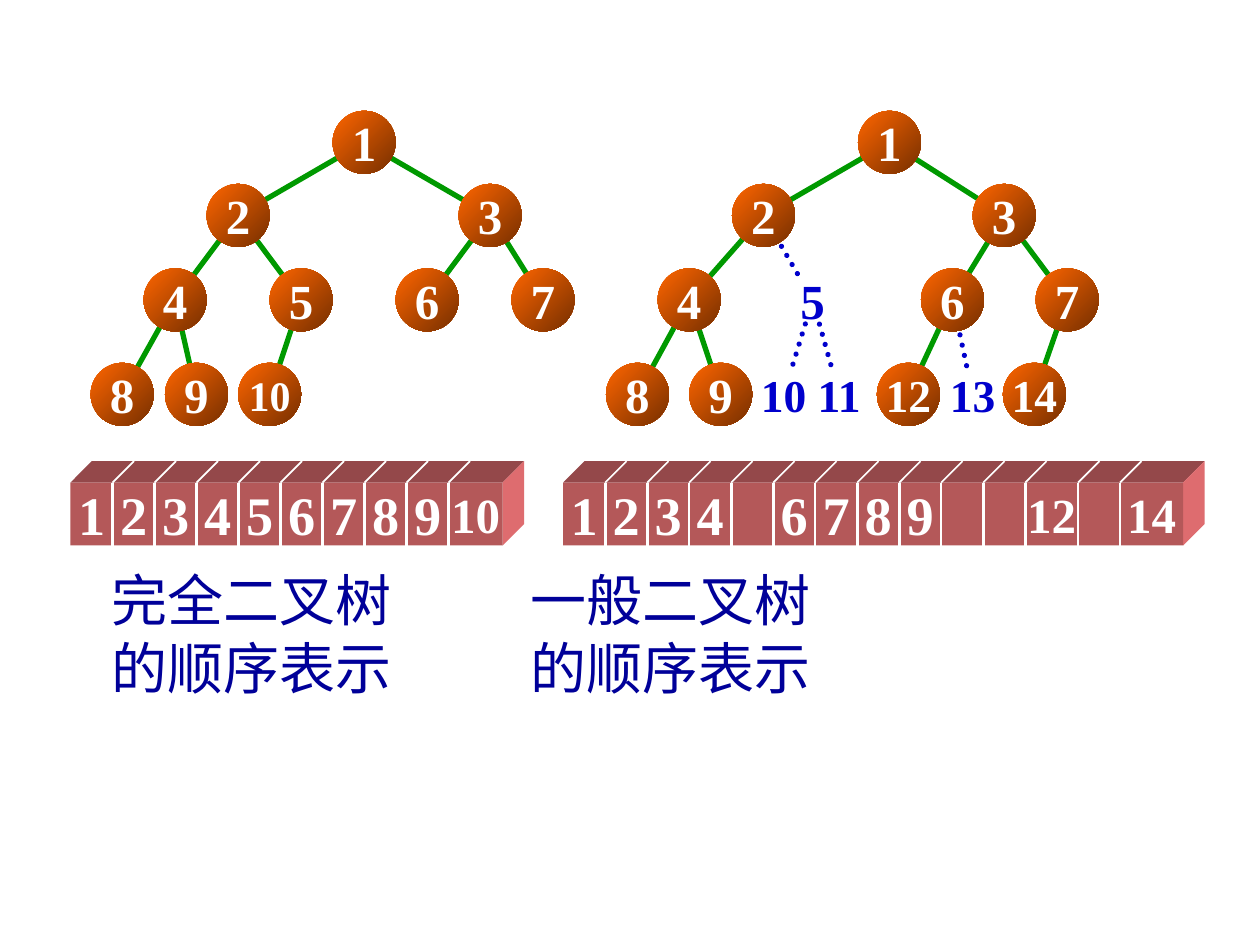
from itertools import accumulate
from math import hypot

from pptx import Presentation
from pptx.dml.color import RGBColor
from pptx.enum.dml import MSO_LINE
from pptx.enum.shapes import MSO_CONNECTOR, MSO_SHAPE
from pptx.enum.text import MSO_ANCHOR, PP_ALIGN
from pptx.oxml.ns import qn
from pptx.oxml.xmlchemy import OxmlElement
from pptx.util import Inches, Pt

SERIF, CJK = "Times New Roman", "Noto Sans CJK SC"
WHITE, GREEN, BLUE, NAVY = "FFFFFF", "009900", "0000CC", "000099"
FRONT, ROOF, SIDE = "B45859", "94484A", "DE6C6F"
NODE = 0.5          # diameter of a tree node
LEVELS = (0.25, 0.83, 1.5, 2.25)  # node centres below the top of a tree
CELL = 1 / 3        # normal width of an array cell
DEPTH = 0.17        # depth of the array block


def rgb(value):
    return RGBColor.from_string(value)


def add_line(s, start, end, color, width, dotted=False):
    cn = s.shapes.add_connector(
        MSO_CONNECTOR.STRAIGHT, *(Inches(v) for v in (*start, *end)))
    cn.line.color.rgb = rgb(color)
    cn.line.width = Pt(width)
    if dotted:
        cn.line.dash_style = MSO_LINE.ROUND_DOT
        cn._element.spPr.find(qn("a:ln")).set("cap", "rnd")
    cn._element.spPr.append(OxmlElement("a:effectLst"))


def set_number(sp, number, size, color):
    tf = sp.text_frame
    tf.margin_left = tf.margin_right = tf.margin_top = tf.margin_bottom = 0
    tf.word_wrap = False
    tf.vertical_anchor = MSO_ANCHOR.MIDDLE
    tf.text = str(number)
    p = tf.paragraphs[0]
    p.alignment = PP_ALIGN.CENTER
    font = p.runs[0].font
    font.name, font.size, font.bold = SERIF, Pt(size), True
    font.color.rgb = rgb(color)


def add_node(s, centre, number, size, missing):
    box = [Inches(v) for v in
           (centre[0] - NODE / 2, centre[1] - NODE / 2, NODE, NODE)]
    if missing:
        set_number(s.shapes.add_textbox(*box), number, size, BLUE)
        return
    sp = s.shapes.add_shape(MSO_SHAPE.OVAL, *box)
    sp.shadow.inherit = False
    sp.line.fill.background()
    sp.fill.gradient()
    sp.fill.gradient_angle = 315
    for stop, color, position in zip(
            sp.fill.gradient_stops, ("FF6600", "762F00"), (0, 1)):
        stop.color.rgb = rgb(color)
        stop.position = position
    set_number(sp, number, size, WHITE)


def add_tree(s, left, top, xs, wide_size, missing=()):
    """Nodes numbered from 1 in level order; node k hangs from node k // 2."""
    centres = {k: (left + x, top + LEVELS[k.bit_length() - 1])
               for k, x in enumerate(xs, 1)}
    for k in range(2, len(xs) + 1):
        (x1, y1), (x2, y2) = centres[k // 2], centres[k]
        trim = 0.2 / hypot(x2 - x1, y2 - y1)
        dx, dy = (x2 - x1) * trim, (y2 - y1) * trim
        dotted = k in missing
        add_line(s, (x1 + dx, y1 + dy), (x2 - dx, y2 - dy),
                 BLUE if dotted else GREEN, 3, dotted)
    for k, centre in centres.items():
        add_node(s, centre, k, 28 if k < 10 else wide_size, k in missing)


def add_face(s, points, color):
    start, *rest = [(Inches(x), Inches(y)) for x, y in points]
    builder = s.shapes.build_freeform(*start)
    builder.add_line_segments(rest, close=True)
    sp = builder.convert_to_shape()
    sp.shadow.inherit = False
    sp.fill.solid()
    sp.fill.fore_color.rgb = rgb(color)
    sp.line.fill.background()


def add_array(s, left, top, height, widths, missing=()):
    """A solid block cut into numbered cells; missing cells stay empty."""
    edges = list(accumulate(widths, initial=left))
    right, bottom, back = edges[-1], top + height, top - DEPTH
    add_face(s, [(left, top), (left + DEPTH, back),
                 (right + DEPTH, back), (right, top)], ROOF)
    add_face(s, [(right, top), (right + DEPTH, back),
                 (right + DEPTH, bottom - DEPTH), (right, bottom)], SIDE)
    block = s.shapes.add_shape(
        MSO_SHAPE.RECTANGLE,
        *(Inches(v) for v in (left, top, right - left, height)))
    block.shadow.inherit = False
    block.fill.solid()
    block.fill.fore_color.rgb = rgb(FRONT)
    block.line.fill.background()
    for x in edges[1:-1]:
        add_line(s, (x, top), (x, bottom), WHITE, 1.5)
        add_line(s, (x, top), (x + DEPTH, back), WHITE, 1)
    for k, (x, width) in enumerate(zip(edges, widths), 1):
        if k not in missing:
            cell = s.shapes.add_textbox(
                *(Inches(v) for v in (x, top, width, height)))
            set_number(cell, k, 31 if k < 10 else 28, WHITE)


def add_caption(s, left, top, width, height, lines):
    tf = s.shapes.add_textbox(
        *(Inches(v) for v in (left, top, width, height))).text_frame
    tf.word_wrap = True
    tf.margin_top = Inches(0.1)
    tf.text = "\n".join(lines)
    for p in tf.paragraphs:
        p.line_spacing = Pt(38.5)
        font = p.runs[0].font
        font.name, font.size = CJK, Pt(32)
        font.color.rgb = rgb(NAVY)
        ea = OxmlElement("a:ea")
        ea.set("typeface", CJK)
        font._element.find(qn("a:latin")).addnext(ea)


def main():
    prs = Presentation()
    prs.slide_width, prs.slide_height = Inches(10), Inches(7.5)
    s = prs.slides.add_slide(prs.slide_layouts[6])

    absent = {5, 10, 11, 13}
    add_tree(s, 0.72, 0.88,
             (2.17, 1.17, 3.17, 0.67, 1.67, 2.67, 3.59, 0.25, 0.84, 1.42), 24)
    add_tree(s, 4.81, 0.88,
             (2.25, 1.25, 3.16, 0.66, 1.64, 2.75, 3.66,
              0.25, 0.91, 1.41, 1.85, 2.4, 2.91, 3.4), 26, absent)

    add_array(s, 0.56, 3.83, 0.5, [CELL] * 9 + [0.43])
    add_array(s, 4.47, 3.83, 0.5, [CELL] * 11 + [0.42, CELL, 0.5], absent)

    for left, kind in ((0.79, "完全二叉树"), (4.11, "一般二叉树")):
        add_caption(s, left, 4.39, 2.6, 1.17, (kind, "的顺序表示"))

    prs.save("out.pptx")


if __name__ == "__main__":
    main()
